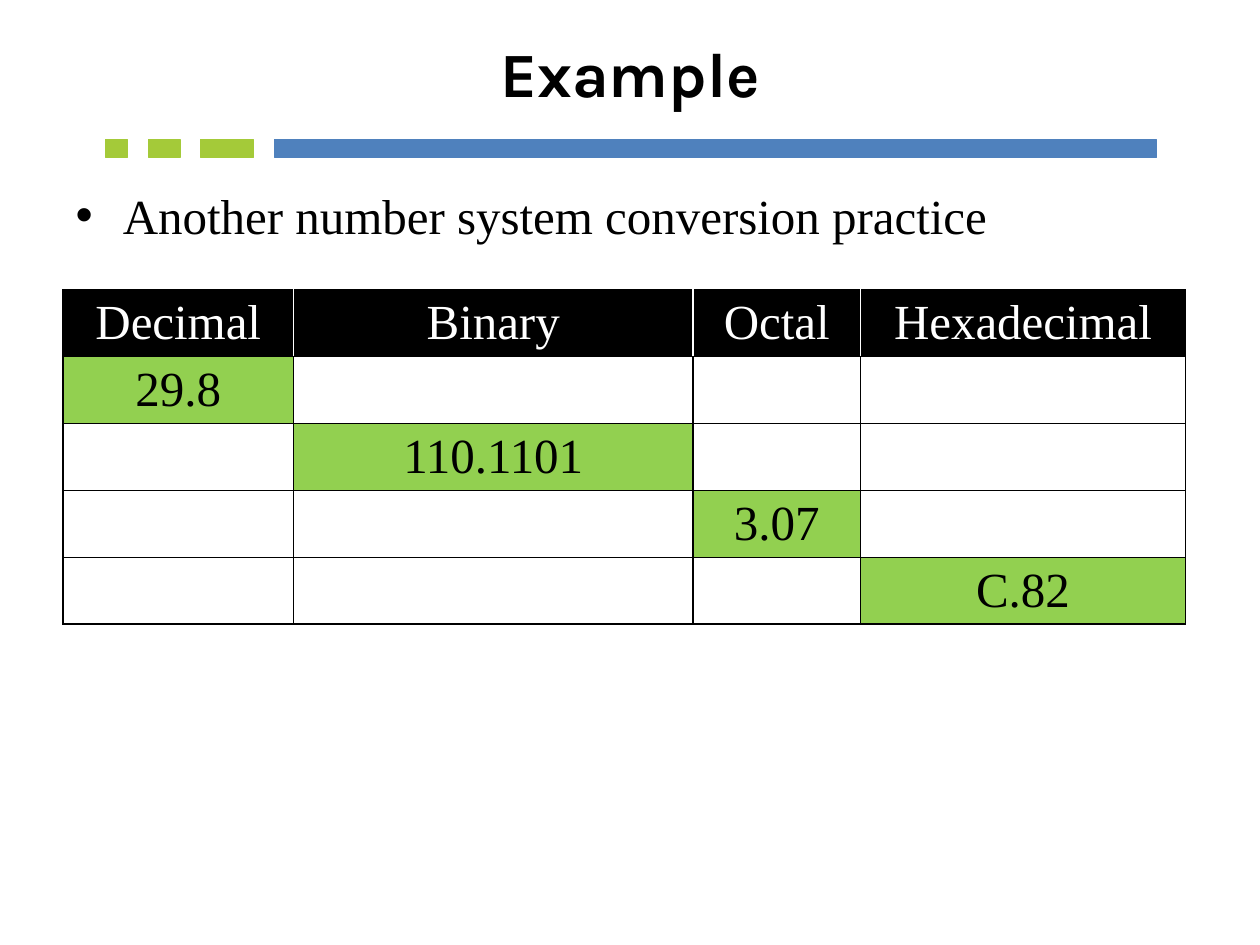
from dataclasses import dataclass
from typing import Any

from lxml.etree import SubElement
from pptx import Presentation
from pptx.dml.color import RGBColor
from pptx.enum.shapes import MSO_SHAPE
from pptx.enum.text import MSO_ANCHOR, PP_ALIGN
from pptx.oxml.ns import qn
from pptx.util import Inches, Pt

BLACK, WHITE = "000000", "FFFFFF"
BLUE, LIME, GREEN = "4F81BD", "A4CA39", "92D050"
SERIF = {"name": "Times New Roman", "size": Pt(28), "bold": False}
HEAD = {"name": "Karla", "size": Pt(36), "bold": True}


@dataclass
class Bar:
    left: float
    width: float
    color: str


@dataclass
class Column:
    name: str
    width: float
    value: str


BARS = [
    Bar(2.18, 7, BLUE),
    Bar(0.84, 0.17, LIME),
    Bar(1.18, 0.25, LIME),
    Bar(1.59, 0.42, LIME),
]
COLUMNS = [
    Column("Decimal", 1.83, "29.8"),
    Column("Binary", 3.17, "110.1101"),
    Column("Octal", 1.33, "3.07"),
    Column("Hexadecimal", 2.58, "C.82"),
]


def tint(code: str) -> RGBColor:
    return RGBColor.from_string(code)


def apply(item: Any, values: dict[str, Any]) -> None:
    for name, value in values.items():
        setattr(item, name, value)


def place(item: Any, left: float, top: float, width: float, height: float) -> None:
    box = {"left": left, "top": top, "width": width, "height": height}
    apply(item, {name: Inches(size) for name, size in box.items()})


def write(frame: Any, text: str, font: dict[str, Any], color: str, align: PP_ALIGN) -> None:
    para = frame.paragraphs[0]
    para.alignment = align
    run = para.add_run()
    run.text = text
    apply(run.font, font)
    run.font.color.rgb = tint(color)


def draw_bar(slide: Any, bar: Bar) -> None:
    box = [Inches(size) for size in (bar.left, 1.11, bar.width, 0.14)]
    shape = slide.shapes.add_shape(MSO_SHAPE.RECTANGLE, *box)
    shape.shadow.inherit = False
    shape.fill.solid()
    shape.fill.fore_color.rgb = tint(bar.color)
    shape.line.color.rgb = tint(bar.color)
    shape.line.width = Pt(0.75)


def edge(cell: Any, colors: dict[str, str]) -> None:
    props = cell._tc.get_or_add_tcPr()
    for side, color in colors.items():
        line = SubElement(props, qn(f"a:ln{side}"), w=str(Pt(1)))
        fill = SubElement(line, qn("a:solidFill"))
        SubElement(fill, qn("a:srgbClr"), val=color)


def draw_table(slide: Any, columns: list[Column]) -> None:
    count = len(columns)
    total = sum(col.width for col in columns)
    box = [Inches(size) for size in (0.5, 2.3, total, 0.53 * (count + 1))]
    table = slide.shapes.add_table(count + 1, count, *box).table
    for x, col in enumerate(columns):
        table.columns[x].width = Inches(col.width)
        for y in range(count + 1):
            cell = table.cell(y, x)
            top = y == 0
            edge(cell, {
                "L": WHITE if top and x > 0 else BLACK,
                "R": WHITE if top and x < count - 1 else BLACK,
                "T": BLACK,
                "B": BLACK,
            })
            if top or y == x + 1:
                cell.fill.solid()
                cell.fill.fore_color.rgb = tint(BLACK if top else GREEN)
                text, color = (col.name, WHITE) if top else (col.value, BLACK)
                write(cell.text_frame, text, SERIF, color, PP_ALIGN.CENTER)
            else:
                cell.fill.background()


def main() -> None:
    deck = Presentation()
    apply(deck, {"slide_width": Inches(10), "slide_height": Inches(7.5)})
    slide = deck.slides.add_slide(deck.slide_layouts[1])
    for bar in BARS:
        draw_bar(slide, bar)
    title, body = slide.placeholders
    place(title, 0.5, 0.05, 9, 1.04)
    title.text_frame.vertical_anchor = MSO_ANCHOR.MIDDLE
    write(title.text_frame, "Example", HEAD, BLACK, PP_ALIGN.CENTER)
    place(body, 0.5, 1.42, 9, 5.28)
    write(body.text_frame, "Another number system conversion practice", SERIF, BLACK, PP_ALIGN.LEFT)
    draw_table(slide, COLUMNS)
    deck.save("out.pptx")


if __name__ == "__main__":
    main()
